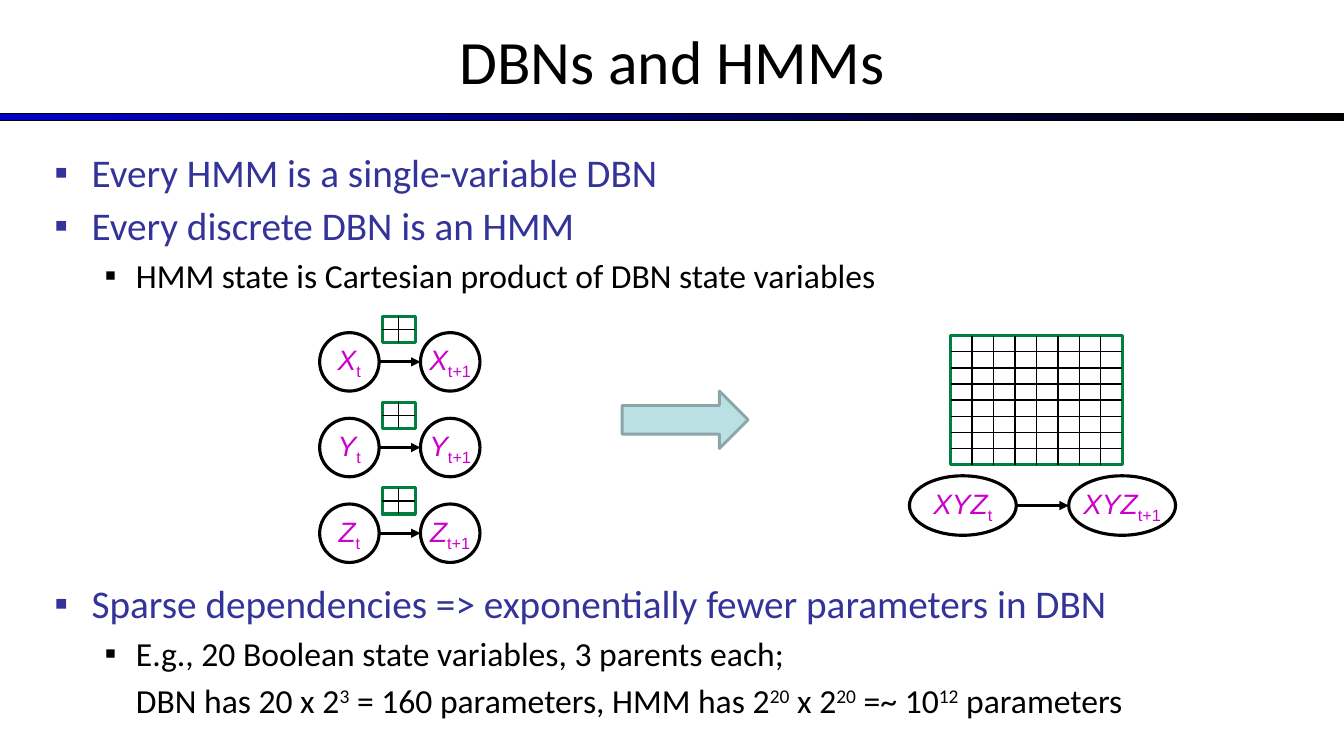
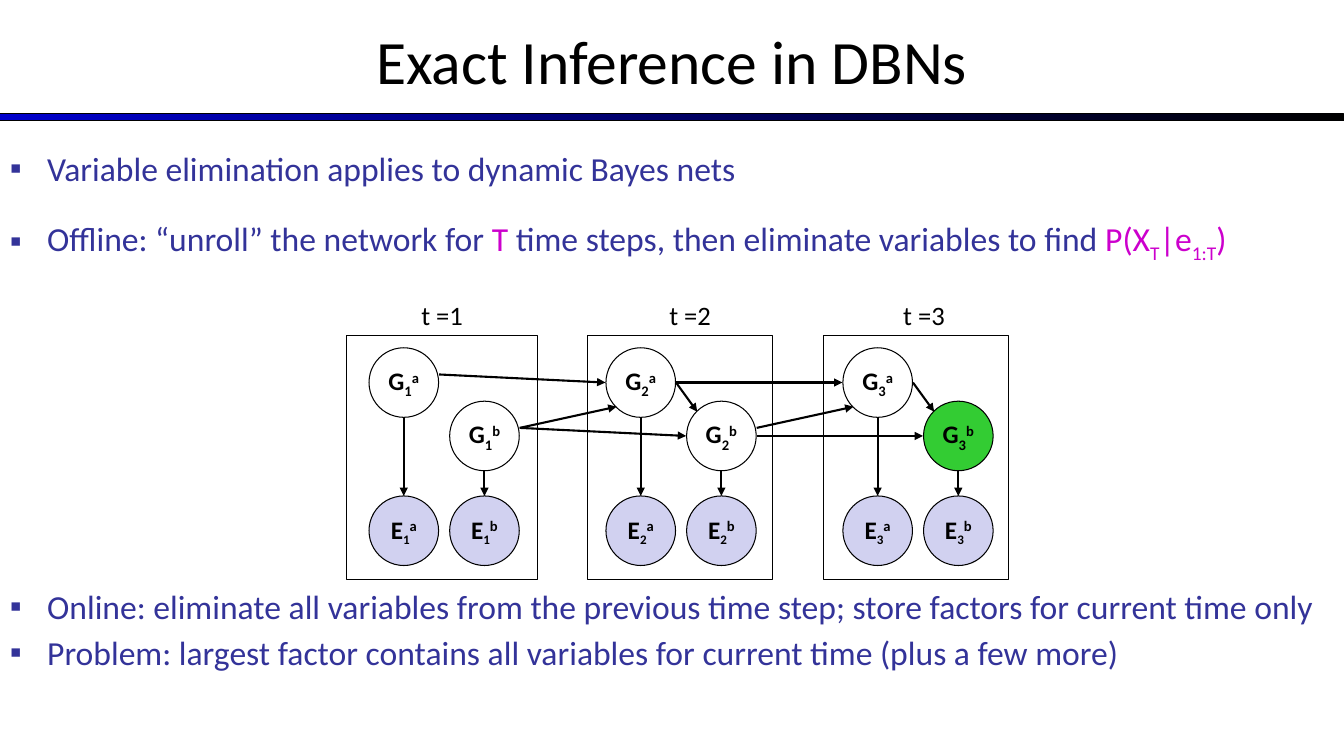
from collections import namedtuple

from lxml.etree import SubElement
from pptx import Presentation
from pptx.dml.color import RGBColor
from pptx.enum.shapes import MSO_CONNECTOR, MSO_SHAPE as SHAPE
from pptx.enum.text import MSO_ANCHOR as ANCHOR, PP_ALIGN as ALIGN
from pptx.oxml.ns import qn
from pptx.util import Inches, Pt

WIDTH, HEIGHT = 13.33, 7.5
BLACK = RGBColor(0x00, 0x00, 0x00)
WHITE = RGBColor(0xFF, 0xFF, 0xFF)
BAND_BLUE = RGBColor(0x00, 0x00, 0xCC)
INDIGO = RGBColor(0x33, 0x33, 0x99)
MAGENTA = RGBColor(0xCC, 0x00, 0xCD)
TABLE_GREEN = RGBColor(0x00, 0x7F, 0x3F)
QUERY_GREEN = RGBColor(0x33, 0xCC, 0x33)
LAVENDER = RGBColor(0xD1, 0xD1, 0xF0)
ARROW_FILL = RGBColor(0xBB, 0xE0, 0xE3)
ARROW_LINE = RGBColor(0x8A, 0xA6, 0xA8)
BODY_FONT, MATH_FONT = "Calibri", "Arial"
SUB, SUPER = -25, 30

Box = namedtuple("Box", "left top width height")
Span = namedtuple("Span", "text base color", defaults=(0, None))
Item = namedtuple("Item", "spans size color indent hang before bullet")


# Shared helpers
def inches(*lengths):
    return [Inches(length) for length in lengths]


def add_span(para, span, size, color, font=BODY_FONT, bold=False, italic=False):
    run = para.add_run()
    run.text = span.text
    run.font.name, run.font.size = font, Pt(size)
    run.font.bold, run.font.italic = bold, italic
    run.font.color.rgb = span.color or color
    if span.base:
        run.font._element.set("baseline", str(span.base * 1000))


def add_shape(page, kind, box, fill, line, weight):
    shape = page.shapes.add_shape(kind, *inches(*box))
    shape.shadow.inherit = False
    if fill is None:
        shape.fill.background()
    else:
        shape.fill.solid()
        shape.fill.fore_color.rgb = fill
    shape.line.color.rgb = line
    shape.line.width = Pt(weight)
    return shape


def add_line(page, begin, end, weight, arrow=False):
    line = page.shapes.add_connector(MSO_CONNECTOR.STRAIGHT, *inches(*begin, *end))
    line.line.color.rgb = BLACK
    line.line.width = Pt(weight)
    if arrow:
        SubElement(line.line._get_or_add_ln(), qn("a:tailEnd"), type="triangle")
    SubElement(line._element.spPr, qn("a:effectLst"))
    return line


def add_textbox(page, box, wrap=True):
    frame = page.shapes.add_textbox(*inches(*box)).text_frame
    frame.word_wrap = wrap
    return frame


def add_node(page, box, fill, weight):
    """Draw an ellipse and return its centred paragraph."""
    node = add_shape(page, SHAPE.OVAL, box, fill, BLACK, weight)
    frame = node.text_frame
    frame.word_wrap = False
    frame.vertical_anchor = ANCHOR.MIDDLE
    para = frame.paragraphs[0]
    para.alignment = ALIGN.CENTER
    return para


# Bulleted text
def point(*spans, size=28, before=4.5):
    return Item(spans, size, INDIGO, 0.37, 0.37, before, True)


def subpoint(*spans, bullet=True):
    return Item(spans, 24, BLACK, 0.81, 0.31 if bullet else 0, 4.5, bullet)


def add_bullet(props, color):
    fill = SubElement(SubElement(props, qn("a:buClr")), qn("a:srgbClr"))
    fill.set("val", str(color))
    SubElement(props, qn("a:buFont"), typeface=MATH_FONT)
    SubElement(props, qn("a:buChar"), char="▪")


def add_items(page, box, items):
    frame = add_textbox(page, box)
    for index, item in enumerate(items):
        para = frame.add_paragraph() if index else frame.paragraphs[0]
        para.space_before = Pt(item.before if index else 0)
        props = para._p.get_or_add_pPr()
        props.set("marL", str(Inches(item.indent)))
        props.set("indent", str(-Inches(item.hang)))
        if item.bullet:
            add_bullet(props, item.color)
        for span in item.spans:
            add_span(para, span, item.size, item.color)


# Title and gradient band of every slide
def add_page(deck, title):
    page = deck.slides.add_slide(deck.slide_layouts[6])
    band = add_shape(page, SHAPE.RECTANGLE, Box(0, 1.13, WIDTH, 0.07), WHITE, BLACK, 0.75)
    band.fill.gradient()
    band.fill.gradient_angle = 0
    for stop, color in zip(band.fill.gradient_stops, (BAND_BLUE, BLACK)):
        stop.color.rgb = color
    frame = add_textbox(page, Box(0, -0.03, WIDTH, 1.25))
    frame.vertical_anchor = ANCHOR.MIDDLE
    para = frame.paragraphs[0]
    para.alignment = ALIGN.CENTER
    add_span(para, Span(title), 44, BLACK)
    return page


# Conditional probability table drawn as a grid
def add_grid(page, box, count):
    frame = add_shape(page, SHAPE.RECTANGLE, box, None, TABLE_GREEN, 2.25)
    right, bottom = box.left + box.width, box.top + box.height
    for index in range(1, count):
        x = box.left + box.width * index / count
        y = box.top + box.height * index / count
        upright = add_line(page, (x, box.top), (x, bottom), 1)
        level = add_line(page, (box.left, y), (right, y), 1)
        if 2 * index == count:
            upright.begin_connect(frame, 0)
            upright.end_connect(frame, 2)
            level.begin_connect(frame, 1)
            level.end_connect(frame, 3)


# State at t, arrow, state at t+1
def add_transition(page, box, name, node_width):
    right_node = box.left + box.width - node_width
    for left, time in ((box.left, "t"), (right_node, "t+1")):
        para = add_node(page, Box(left, box.top, node_width, box.height), WHITE, 2.25)
        add_span(para, Span(name), 20, MAGENTA, MATH_FONT, italic=True)
        add_span(para, Span(time, SUB), 20, MAGENTA, MATH_FONT)
    middle = box.top + box.height / 2
    add_line(page, (box.left + node_width, middle), (right_node, middle), 2.25, arrow=True)


def add_factored_model(page, box):
    pitch = 0.85
    for row, name in enumerate("XYZ"):
        top = box.top + row * pitch
        add_grid(page, Box(box.left + 0.62, top, 0.33, 0.26), 2)
        add_transition(page, Box(box.left, top + 0.16, box.width, 0.58), name, 0.59)


def add_joint_model(page, box):
    add_grid(page, Box(box.left + 0.41, box.top, 1.7, 1.28), 8)
    add_transition(page, Box(box.left, box.top + 1.39, box.width, 0.59), "XYZ", 1.06)


# Network unrolled over three time steps
def add_time_step(page, box, step, label_left, node_left):
    """Draw one frame with its four variables; return the centres of the G nodes."""
    add_shape(page, SHAPE.RECTANGLE, box, None, BLACK, 0.75)
    label = add_textbox(page, Box(label_left, box.top - 0.41, 0.62, 0.42), wrap=False)
    add_span(label.paragraphs[0], Span(f"t ={step}"), 19, BLACK)
    size, evidence_top = 0.69, box.top + 1.59
    centres = {}
    for column, (chain, drop) in enumerate((("a", 0.12), ("b", 0.65))):
        left, hidden_top = node_left + 0.8 * column, box.top + drop
        hidden_fill = QUERY_GREEN if (step, chain) == (3, "b") else None
        for name, top, fill, sub_size in (("G", hidden_top, hidden_fill, 18),
                                          ("E", evidence_top, LAVENDER, 16)):
            para = add_node(page, Box(left, top, size, size), fill, 0.75)
            add_span(para, Span(name), 18, BLACK, bold=True)
            add_span(para, Span(str(step), SUB), sub_size, BLACK, bold=True)
            add_span(para, Span(chain, SUPER), 18, BLACK, bold=True)
        x = left + size / 2
        add_line(page, (x, hidden_top + size), (x, evidence_top), 1.5, arrow=True)
        centres[f"{step}{chain}"] = (x, hidden_top + size / 2)
    return centres


def add_unrolled_network(page, box):
    # Frame offset, frame width, label offset
    frames = ((0, 1.89, 0.64), (2.39, 1.83, 3.1), (4.73, 1.83, 5.42))
    centres = {}
    for index, (offset, width, label) in enumerate(frames):
        frame = Box(box.left + offset, box.top, width, box.height)
        node_left = box.left + 0.22 + 2.35 * index
        centres.update(add_time_step(page, frame, index + 1, box.left + label, node_left))

    # Points on a node's rim, from its centre
    right, raised = (0.35, 0), (0.35, -0.08)
    left, lower_left, upper_left = (-0.35, 0), (-0.24, 0.24), (-0.24, -0.24)
    for source, start, target, finish in (
            ("1a", raised, "2a", left), ("1b", raised, "2b", left),
            ("1b", raised, "2a", lower_left), ("2a", right, "2b", upper_left),
            ("2a", right, "3a", left), ("2b", raised, "3a", lower_left),
            ("2b", right, "3b", left), ("3a", right, "3b", upper_left)):
        begin = [sum(pair) for pair in zip(centres[source], start)]
        end = [sum(pair) for pair in zip(centres[target], finish)]
        add_line(page, begin, end, 1.5, arrow=True)


# Slides
def build_hmm_page(deck):
    page = add_page(deck, "DBNs and HMMs")
    add_items(page, Box(0.44, 1.42, 11.22, 1.6), [
        point(Span("Every HMM is a single-variable DBN")),
        point(Span("Every discrete DBN is an HMM")),
        subpoint(Span("HMM state is Cartesian product of DBN state variables")),
    ])
    add_factored_model(page, Box(3.17, 3.14, 1.59, 2.44))
    add_shape(page, SHAPE.RIGHT_ARROW, Box(6.17, 3.88, 1.25, 0.57), ARROW_FILL, ARROW_LINE, 2)
    add_joint_model(page, Box(9.02, 3.33, 2.64, 1.98))
    add_items(page, Box(0.44, 5.7, 11.22, 1.6), [
        point(Span("Sparse dependencies => exponentially fewer parameters in DBN")),
        subpoint(Span("E.g., 20 Boolean state variables, 3 parents each;")),
        subpoint(Span("DBN has 20 x 2"), Span("3", SUPER),
                 Span(" = 160 parameters, HMM has 2"), Span("20", SUPER),
                 Span(" x 2"), Span("20", SUPER), Span(" =~ 10"),
                 Span("12", SUPER), Span(" parameters"), bullet=False),
    ])


def build_inference_page(deck):
    page = add_page(deck, "Exact Inference in DBNs")
    add_items(page, Box(0, 1.42, WIDTH, 1.3), [
        point(Span("Variable elimination applies to dynamic Bayes nets"), size=24),
        point(Span("Offline: “unroll” the network for "), Span("T", 0, MAGENTA),
              Span(" time steps, then eliminate variables to find "),
              Span("P(X", 0, MAGENTA), Span("T", SUB, MAGENTA),
              Span("|e", 0, MAGENTA), Span("1:T", SUB, MAGENTA),
              Span(")", 0, MAGENTA), size=24, before=21.4),
    ])
    add_unrolled_network(page, Box(3.44, 3.33, 6.56, 2.42))
    add_items(page, Box(0, 5.76, WIDTH, 1), [
        point(Span("Online: eliminate all variables from the previous time step; "
                   "store factors for current time only"), size=24),
        point(Span("Problem: largest factor contains all variables for current time "
                   "(plus a few more)"), size=24),
    ])


def main():
    deck = Presentation()
    deck.slide_width, deck.slide_height = inches(WIDTH, HEIGHT)
    build_hmm_page(deck)
    build_inference_page(deck)
    deck.save("out.pptx")


if __name__ == "__main__":
    main()
